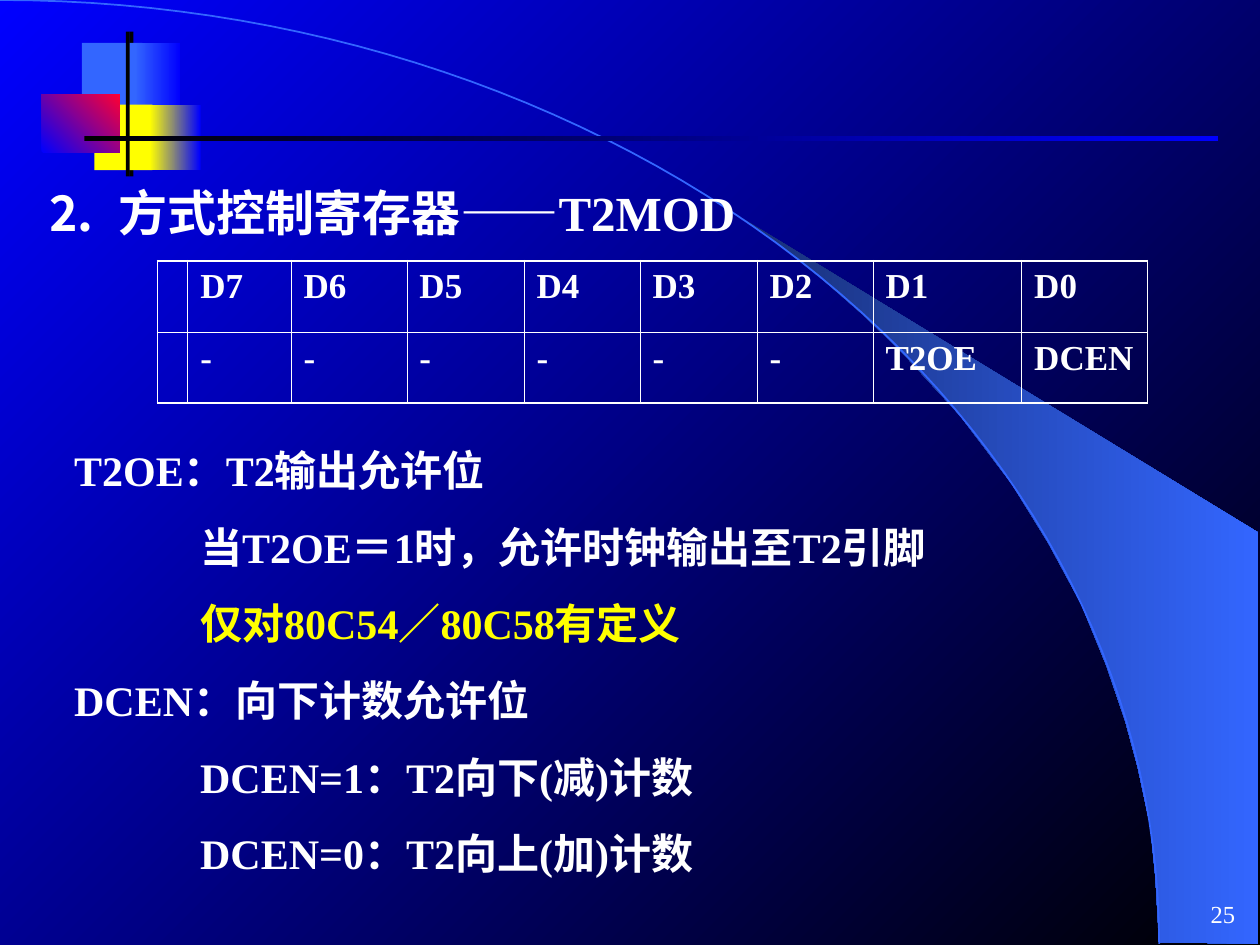
from math import cos, pi, sin

from lxml import etree
from pptx import Presentation
from pptx.dml.color import RGBColor
from pptx.enum.shapes import MSO_SHAPE
from pptx.enum.text import MSO_ANCHOR, PP_ALIGN
from pptx.oxml.ns import qn
from pptx.util import Inches, Pt

WHITE = RGBColor(0xFF, 0xFF, 0xFF)
BLACK = RGBColor(0x00, 0x00, 0x00)
BLUE = RGBColor(0x00, 0x00, 0xFF)
SKY = RGBColor(0x33, 0x66, 0xFF)
NAVY = RGBColor(0x18, 0x2F, 0x76)
YELLOW = RGBColor(0xFF, 0xFF, 0x00)
RED = RGBColor(0xFF, 0x00, 0x33)


def paint(fill, colors, angle=0):
    """Fill with one colour, or blend two at a counter-clockwise angle."""
    if len(colors) == 1:
        fill.solid()
        fill.fore_color.rgb = colors[0]
        return
    fill.gradient()
    fill.gradient_angle = angle
    for stop, color in zip(fill.gradient_stops, colors):
        stop.color.rgb = color


def write(para, text, size, color=WHITE, bold=True, tab=None):
    """Add a run, and a left tab stop at the given inches if there is one."""
    if tab:
        tabs = etree.SubElement(para._p.get_or_add_pPr(), qn("a:tabLst"))
        etree.SubElement(tabs, qn("a:tab"), pos=str(Inches(tab)), algn="l")
    run = para.add_run()
    run.text = text
    font = run.font
    font.name = "Times New Roman"
    font.size = Pt(size)
    font.bold = bold
    font.color.rgb = color


deck = Presentation()
deck.slide_width, deck.slide_height = Inches(10), Inches(7.5)
slide = deck.slides.add_slide(deck.slide_layouts[6])
shapes = slide.shapes
paint(slide.background.fill, (BLUE, BLACK), 315)

# Sweeping beam and the quarter ellipse along its edge
beam = [(9.2, 7.48), (9.99, 7.49), (9.99, 4.23), (5.89, 1.73), (6.24, 1.99),
        (6.53, 2.22), (6.85, 2.5), (7.16, 2.8), (7.62, 3.3), (8.03, 3.84),
        (8.32, 4.31), (8.58, 4.79), (8.78, 5.28), (8.93, 5.72), (9.03, 6.09),
        (9.13, 6.56), (9.17, 6.96)]
steps = 60
turns = [pi / 2 * i / steps for i in range(steps + 1)]
arc = [(9.2 * sin(t), 7.49 * (1 - cos(t))) for t in turns]
for points, closed in ((beam, True), (arc, False)):
    spots = [(Inches(x), Inches(y)) for x, y in points]
    pen = shapes.build_freeform(*spots[0])
    pen.add_line_segments(spots[1:], close=closed)
    curve = pen.convert_to_shape()
    curve.shadow.inherit = False
    if closed:
        paint(curve.fill, (NAVY, SKY))
        curve.line.fill.background()
    else:
        curve.fill.background()
        curve.line.color.rgb = SKY
        curve.line.width = Pt(1)

# Corner ornament: left, top, width, height, colours, angle
sky_fade = (1.07, 0.34, 0.36, 0.52, (SKY, BLUE), 0)
gold_fade = (1.19, 0.83, 0.4, 0.52, (YELLOW, BLUE), 0)
red_fade = (0.33, 0.75, 0.62, 0.46, (BLUE, RED), 45)
rule = (0.67, 1.08, 9, 0.04, (BLACK, BLUE), 0)
sky_box = (0.65, 0.34, 0.48, 0.52, (SKY,), 0)
gold_box = (0.75, 0.83, 0.46, 0.52, (YELLOW,), 0)
back_bar, bar = [(x, 0.25, 0.03, 1.15, (BLACK,), 0) for x in (1.03, 1)]
for *place, colors, angle in (
        sky_fade, gold_fade, back_bar, red_fade, rule,
        sky_box, sky_fade, gold_box, gold_fade, red_fade, bar, rule):
    block = shapes.add_shape(MSO_SHAPE.RECTANGLE, *map(Inches, place))
    block.shadow.inherit = False
    block.line.fill.background()
    paint(block.fill, colors, angle)

# Slide number
number = shapes.add_textbox(*map(Inches, (9.41, 7, 0.59, 0.5))).text_frame
number.word_wrap = True
number.vertical_anchor = MSO_ANCHOR.MIDDLE
number.paragraphs[0].alignment = PP_ALIGN.CENTER
write(number.paragraphs[0], "25", 14, bold=False)

# Heading
title = shapes.add_textbox(*map(Inches, (0.27, 1.4, 8.11, 0.57))).text_frame
title.word_wrap = True
write(title.paragraphs[0], "⒉\t方式控制寄存器——T2MOD", 28, tab=0.57)

# Register bits
bits = [["", "D7", "D6", "D5", "D4", "D3", "D2", "D1", "D0"],
        [""] + ["-"] * 6 + ["T2OE", "DCEN"]]
widths = [0.24, 0.82, 0.92, 0.93, 0.92, 0.93, 0.92, 1.18, 1]
heights = [0.57, 0.56]
frame = shapes.add_table(len(bits), len(widths), Inches(1.25), Inches(2.07),
                         Inches(sum(widths)), Inches(sum(heights)))
table = frame.table
table.first_row = table.horz_banding = False
for column, width in zip(table.columns, widths):
    column.width = Inches(width)
for r, names in enumerate(bits):
    table.rows[r].height = Inches(heights[r])
    for c, name in enumerate(names):
        cell = table.cell(r, c)
        cell.fill.background()
        if name:
            write(cell.text_frame.paragraphs[0], name, 20)
        outer = {"L": c == 0, "R": c == len(names) - 1,
                 "T": r == 0, "B": r == len(bits) - 1}
        props = cell._tc.get_or_add_tcPr()
        for i, (side, edge) in enumerate(outer.items()):
            line = etree.Element(qn(f"a:ln{side}"),
                                 w=str(Pt(1.08 if edge else 0.45)))
            solid = etree.SubElement(line, qn("a:solidFill"))
            etree.SubElement(solid, qn("a:srgbClr"), val=str(WHITE))
            props.insert(i, line)

# What each bit does
notes = [
    ("T2OE：T2输出允许位", WHITE),
    ("\t当T2OE＝1时，允许时钟输出至T2引脚", WHITE),
    ("\t仅对80C54／80C58有定义", YELLOW),
    ("DCEN：向下计数允许位", WHITE),
    ("\tDCEN=1：T2向下(减)计数", WHITE),
    ("\tDCEN=0：T2向上(加)计数", WHITE),
]
body = shapes.add_textbox(*map(Inches, (0.49, 3.48, 8.45, 3.54))).text_frame
body.word_wrap = True
for i, (text, color) in enumerate(notes):
    para = body.add_paragraph() if i else body.paragraphs[0]
    para.alignment = PP_ALIGN.JUSTIFY
    if i:
        para.space_before = Pt(15)
    write(para, text, 24, color, tab=1)

deck.save("out.pptx")
